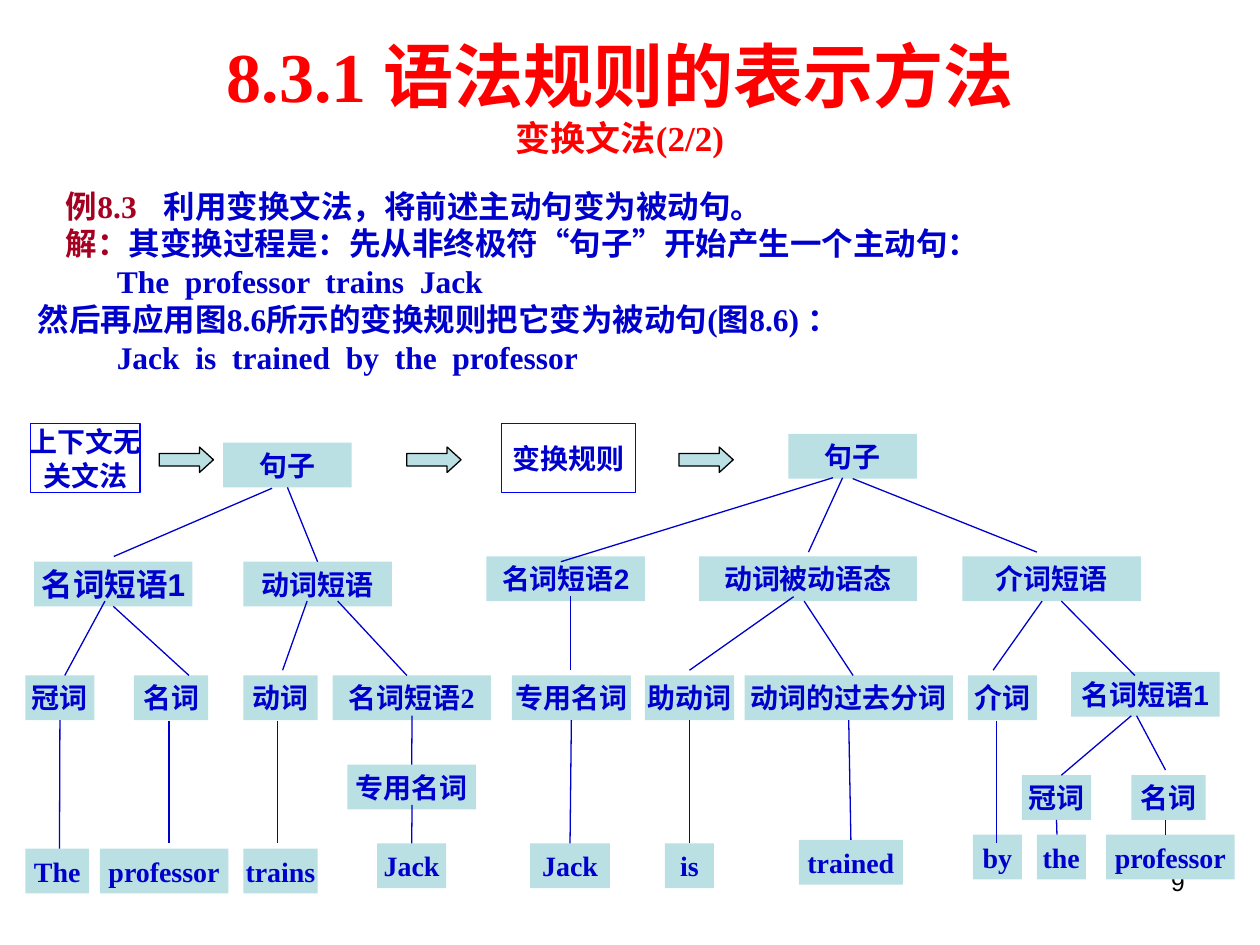
from lxml.etree import SubElement
from pptx import Presentation
from pptx.dml.color import RGBColor
from pptx.enum.shapes import MSO_CONNECTOR, MSO_SHAPE
from pptx.enum.text import MSO_ANCHOR, MSO_AUTO_SIZE, PP_ALIGN
from pptx.oxml.ns import qn
from pptx.util import Pt

COLORS = {"title": "FF0000", "label": "A50021", "text": "0000CC", "node": "BBE0E3",
          "frame": "0000FF", "black": "000000"}
SERIF, SANS = "Times New Roman", "Arial"
NODE_HEIGHT = 25.5

# top of the row: (key, text, left, width) of each node
ACTIVE_TREE = {
    253: [("s1", "句子", 127.5, 73.5)],
    321: [("np1", "名词短语1", 19.5, 90.5), ("vp", "动词短语", 139, 85)],
    386: [("det1", "冠词", 14.5, 39.5), ("n1", "名词", 76.5, 42.5),
          ("v", "动词", 139, 42.5), ("np2_object", "名词短语2", 190, 90.5)],
    437: [("pn1", "专用名词", 198.5, 73.5)],
    482: [("jack1", "Jack", 215.5, 39.5)],
    485: [("the1", "The", 14.5, 36.5), ("professor1", "professor", 57, 73.5),
          ("trains", "trains", 139, 42.5)],
}
PASSIVE_TREE = {
    248: [("s2", "句子", 450.5, 73.5)],
    318: [("np2", "名词短语2", 278, 90.5), ("passive", "动词被动语态", 399.5, 124.5),
          ("pp", "介词短语", 550, 102)],
    384: [("np1_agent", "名词短语1", 612, 85)],
    386: [("pn2", "专用名词", 292.5, 68), ("aux", "助动词", 368.5, 51),
          ("participle", "动词的过去分词", 425.5, 119), ("prep", "介词", 553, 39.5)],
    443: [("det2", "冠词", 584, 39.5), ("n2", "名词", 646.5, 42.5)],
    477: [("by", "by", 556, 28), ("the2", "the", 592.5, 28),
          ("professor2", "professor", 632, 73.5)],
    480: [("trained", "trained", 456.5, 59.5)],
    482: [("jack2", "Jack", 303, 45.5), ("is", "is", 380, 28)],
}
SERIF_NODES = {"np2_object", "pn1"}
NODE_SIZES = {"np1": 18}

# a key joins the middle of that node's side, a pair is a free end
EDGES = [
    ((155.5, 279), (65, 318)), ("s1", "vp"),
    ((60, 343.5), (37, 386)), ("np1", (108, 386)),
    ((175.5, 343.5), (161.5, 383)), ((193, 343.5), (232.5, 386)),
    ("det1", (34, 485)), ((96.5, 412), (96.5, 482)), ((158.5, 412), (158.5, 482)),
    ((235.5, 409), "pn1"), ((235.5, 460), "jack1"),
    ((476, 273), (320.5, 321)), ((481.5, 273), (462, 315.5)), ("s2", (592.5, 315.5)),
    ((326, 340.5), (326, 383)), ((453.5, 341), (394, 383)), ((459.5, 343.5), (487.5, 386)),
    ((595.5, 343.5), (567.5, 383)), ((606.5, 343.5), (648.5, 386)),
    ("pn2", "jack2"), ("aux", "is"), ("participle", "trained"),
    ((569.5, 412), (569.5, 482)),
    ((646.5, 409), (606.5, 443)), ((649.5, 409), (666, 440)),
    ("det2", (604, 477)), ((666, 468.5), (666, 477)),
]


def rgb(name):
    return RGBColor.from_string(COLORS[name])


def style_run(r, size, color, font=SERIF, bold=True):
    r.font.name, r.font.size, r.font.bold = font, Pt(size), bold
    r.font.color.rgb = rgb(color)


def place(sp, left, top, width, height):
    sp.left, sp.top, sp.width, sp.height = Pt(left), Pt(top), Pt(width), Pt(height)


def add_title(s):
    sp = s.shapes.title
    place(sp, 85, 15, 538.5, 79)
    tf = sp.text_frame
    tf.text = "8.3.1 语法规则的表示方法\n变换文法(2/2)"
    tf.auto_size, tf.word_wrap = MSO_AUTO_SIZE.NONE, True
    tf.vertical_anchor = MSO_ANCHOR.MIDDLE
    for p, size in zip(tf.paragraphs, (40, 20)):
        p.alignment = PP_ALIGN.CENTER
        style_run(p.runs[0], size, "title")


def add_body(s):
    lines = [
        (16, [("例8.3\t", "label"), ("利用变换文法，将前述主动句变为被动句。", "text")]),
        (16, [("解：", "label"),
              ("其变换过程是：先从非终极符“句子”开始产生一个主动句：", "text")]),
        (45, [("The  professor  trains  Jack", "text")]),
        (0, [("然后再应用图8.6所示的变换规则把它变为被动句(图8.6) ：", "text")]),
        (45, [("Jack  is  trained  by  the  professor", "text")]),
    ]
    sp = s.placeholders[1]
    place(sp, 14.5, 103, 692, 115)
    tf = sp.text_frame
    tf.auto_size, tf.word_wrap = MSO_AUTO_SIZE.NONE, True
    for i, (indent, parts) in enumerate(lines):
        p = tf.paragraphs[0] if i == 0 else tf.add_paragraph()
        p.space_before = Pt(0)
        pPr = p._p.get_or_add_pPr()
        pPr.set("marL", "0")
        pPr.set("indent", str(Pt(indent)))
        SubElement(pPr, qn("a:buNone"))
        if "\t" in parts[0][0]:
            tabs = SubElement(pPr, qn("a:tabLst"))
            SubElement(tabs, qn("a:tab"), pos=str(Pt(74)), algn="l")
        for text, color in parts:
            r = p.add_run()
            r.text = text
            style_run(r, 18, color)


def add_page_number(s):
    tf = s.shapes.add_textbox(Pt(516), Pt(492), Pt(168), Pt(37)).text_frame
    tf.word_wrap = True
    tf.text = "9"
    tf.paragraphs[0].alignment = PP_ALIGN.RIGHT
    style_run(tf.paragraphs[0].runs[0], 14, "black", SANS, False)


def add_preset(s, kind, left, top, width, height, fill=None, line=None):
    sp = s.shapes.add_shape(kind, Pt(left), Pt(top), Pt(width), Pt(height))
    sp.shadow.inherit = False
    if fill:
        sp.fill.solid()
        sp.fill.fore_color.rgb = rgb(fill)
    else:
        sp.fill.background()
    if line:
        sp.line.color.rgb, sp.line.width = rgb(line), Pt(0.75)
    else:
        sp.line.fill.background()
    return sp


def add_box(s, text, left, top, width, height, font=SANS, size=16, **look):
    sp = add_preset(s, MSO_SHAPE.RECTANGLE, left, top, width, height, **look)
    tf = sp.text_frame
    tf.text = text
    tf.word_wrap, tf.vertical_anchor = False, MSO_ANCHOR.MIDDLE
    for p in tf.paragraphs:
        p.alignment = PP_ALIGN.CENTER
        style_run(p.runs[0], size, "text", font)
    return sp


def add_arrow(s, left):
    sp = add_preset(s, MSO_SHAPE.RIGHT_ARROW, left, 255.5, 31, 14.5, "node", "black")
    sp.adjustments[0], sp.adjustments[1] = 0.5, 0.55


def add_tree(s, tree):
    """Draw the nodes of a tree and return them by key."""
    nodes = {}
    for top, row in tree.items():
        for key, text, left, width in row:
            font = SERIF if text.isascii() or key in SERIF_NODES else SANS
            nodes[key] = add_box(s, text, left, top, width, NODE_HEIGHT, font,
                                 NODE_SIZES.get(key, 16), fill="node")
    return nodes


def add_edge(s, nodes, start, end):
    x1, y1 = (0, 0) if start in nodes else start
    x2, y2 = (0, 0) if end in nodes else end
    line = s.shapes.add_connector(MSO_CONNECTOR.STRAIGHT, Pt(x1), Pt(y1), Pt(x2), Pt(y2))
    if start in nodes:
        line.begin_connect(nodes[start], 2)
    if end in nodes:
        line.end_connect(nodes[end], 0)
    line.line.color.rgb, line.line.width = rgb("text"), Pt(0.75)
    SubElement(line._element.spPr, qn("a:effectLst"))


def main():
    prs = Presentation()
    prs.slide_width, prs.slide_height = Pt(720), Pt(540)
    s = prs.slides.add_slide(prs.slide_layouts[1])
    add_title(s)
    add_body(s)
    add_page_number(s)
    add_box(s, "上下文无\n关文法", 17.5, 242, 62.5, 39.5, line="frame")
    add_box(s, "变换规则", 286.5, 242, 76.5, 39.5, line="frame")
    for left in (91, 232.5, 388):
        add_arrow(s, left)
    nodes = {**add_tree(s, ACTIVE_TREE), **add_tree(s, PASSIVE_TREE)}
    for start, end in EDGES:
        add_edge(s, nodes, start, end)
    prs.save("out.pptx")


if __name__ == "__main__":
    main()
